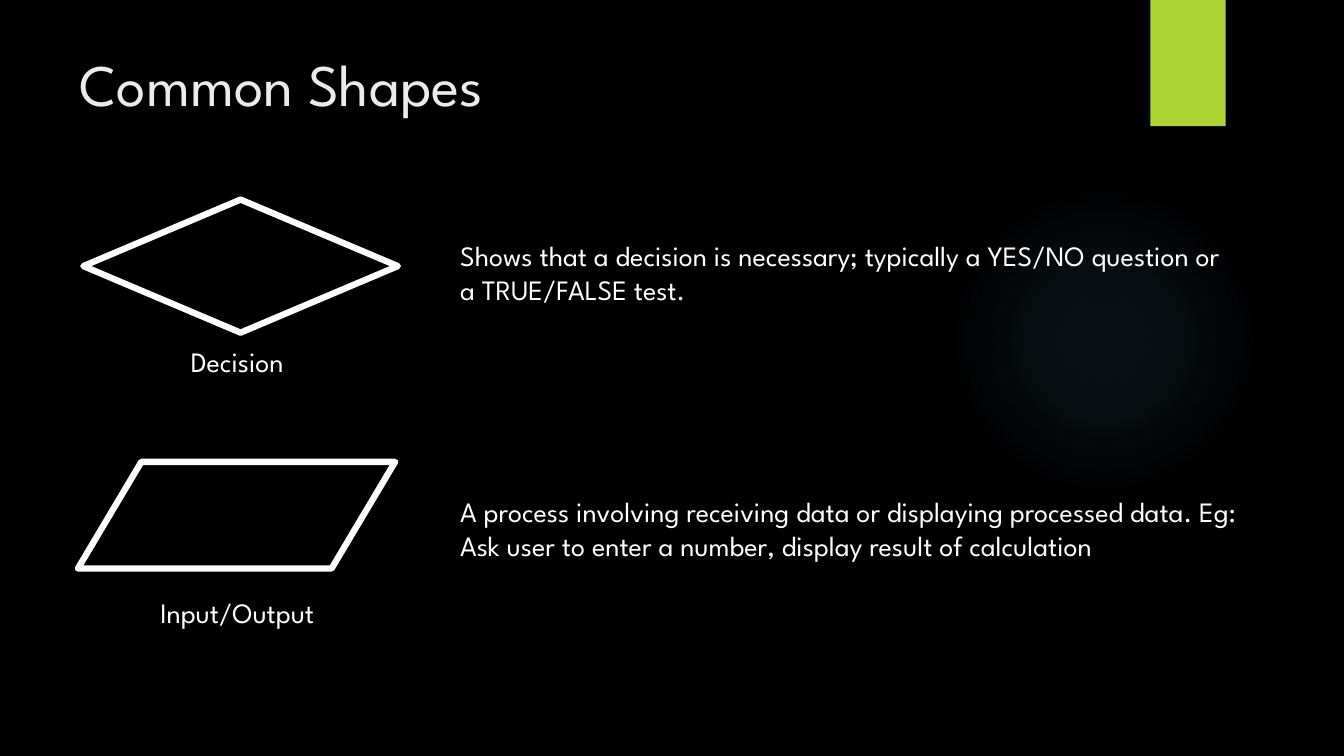
from pptx import Presentation
from pptx.dml.color import RGBColor
from pptx.enum.shapes import MSO_SHAPE
from pptx.enum.text import PP_ALIGN
from pptx.oxml import parse_xml
from pptx.oxml.ns import nsdecls, qn
from pptx.util import Inches, Pt

OVAL, RECT = MSO_SHAPE.OVAL, MSO_SHAPE.RECTANGLE
DECISION, DATA = MSO_SHAPE.FLOWCHART_DECISION, MSO_SHAPE.FLOWCHART_DATA
LEFT, CENTER = PP_ALIGN.LEFT, PP_ALIGN.CENTER
WIDTH, HEIGHT = Inches(13.333), Inches(7.5)
FONT = "League Spartan"
COLORS = {"back": "000000", "glow": "7AC4F0", "tab": "ACD433",
          "title": "EBEBEB", "text": "FFFFFF"}
GLOW_STOPS = [(0, 7), (36, 6), (69, 0), (100, 0)]
ROWS = [
    ((6.2, 30.9, 86.9, 33.9), DECISION, (0, -4.5, 23.4, 17.6), 14, "Decision",
     "Shows that a decision is necessary; typically a YES/NO question or "
     "a TRUE/FALSE test."),
    ((6.2, 64.8, 86.9, 33.9), DATA, (-0.4, -3.7, 23.6, 14.1), 13.3, "Input/Output",
     "A process involving receiving data or displaying processed data. Eg: "
     "Ask user to enter a number, display result of calculation"),
]


def rgb(name):
    """Return the named colour."""
    return RGBColor.from_string(COLORS[name])


def place(box):
    """Turn a box in percent of the slide into lengths."""
    x, y, w, h = box
    return [int(share * side / 100) for share, side in
            ((x, WIDTH), (y, HEIGHT), (w, WIDTH), (h, HEIGHT))]


def add_shape(s, kind, box, fill=None):
    """Add a flat shape without outline."""
    sp = s.shapes.add_shape(kind, *place(box))
    sp.shadow.inherit = False
    sp.line.fill.background()
    if fill:
        sp.fill.solid()
        sp.fill.fore_color.rgb = rgb(fill)
    else:
        sp.fill.background()
    return sp


def add_text(s, box, text, size, color="text", align=LEFT):
    """Add a wrapped one-paragraph text box."""
    tf = s.shapes.add_textbox(*place(box)).text_frame
    tf.word_wrap = True
    p = tf.paragraphs[0]
    p.text = text
    p.alignment = align
    p.font.name, p.font.size = FONT, Pt(size)
    p.font.color.rgb = rgb(color)


def add_glow(s, box):
    """Add a faint radial light."""
    spPr = add_shape(s, OVAL, box)._element.spPr
    stops = "".join(
        f'<a:gs pos="{pos * 1000}"><a:srgbClr val="{COLORS["glow"]}">'
        f'<a:alpha val="{alpha * 1000}"/></a:srgbClr></a:gs>'
        for pos, alpha in GLOW_STOPS)
    grad = parse_xml(
        f'<a:gradFill {nsdecls("a")}><a:gsLst>{stops}</a:gsLst><a:path path="circle">'
        '<a:fillToRect l="50000" t="50000" r="50000" b="50000"/></a:path></a:gradFill>')
    spPr.replace(spPr.find(qn("a:noFill")), grad)


def add_symbol(s, kind, box):
    """Add an outlined flowchart symbol with round corners."""
    sp = add_shape(s, kind, box)
    sp.line.color.rgb = rgb("text")
    sp.line.width = Pt(4.5)
    sp._element.spPr.find(qn("a:ln")).append(parse_xml(f'<a:round {nsdecls("a")}/>'))


def add_row(s, box, kind, symbol, label_drop, label, description):
    """Add a symbol with its label below and its meaning beside it."""
    x, y, w, h = box
    dx, dy, symbol_w, symbol_h = symbol
    text_x = 27.3
    add_text(s, (x, y + label_drop, 22.9, 15.1), label, 20, align=CENTER)
    add_text(s, (x + text_x, y, w - text_x, h * 0.56), description, 20)
    add_symbol(s, kind, (x + dx, y + dy, symbol_w, symbol_h))


def build_slide(prs):
    """Add the slide of common flowchart shapes."""
    s = prs.slides.add_slide(prs.slide_layouts[6])
    s.background.fill.solid()
    s.background.fill.fore_color.rgb = rgb("back")
    add_glow(s, (70.6, 24.4, 23.1, 41.1))
    add_shape(s, RECT, (85.6, 0, 5.6, 16.7), "tab")
    add_text(s, (5.2, 5.7, 77.2, 20.4), "Common Shapes", 42, "title")
    for row in ROWS:
        add_row(s, *row)


def main():
    """Build and save the presentation."""
    prs = Presentation()
    prs.slide_width, prs.slide_height = WIDTH, HEIGHT
    build_slide(prs)
    prs.save("out.pptx")


if __name__ == "__main__":
    main()
